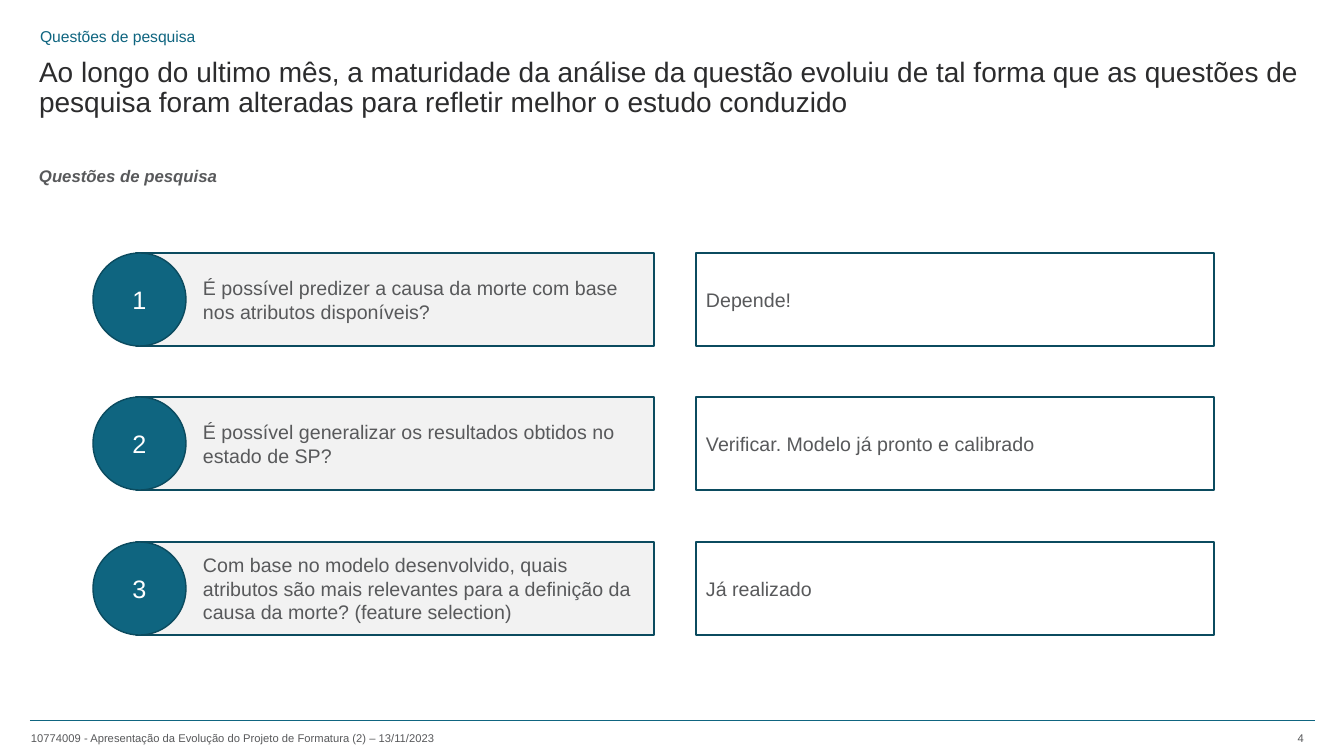
from dataclasses import dataclass
from pptx import Presentation
from pptx.dml.color import RGBColor as Color
from pptx.enum.shapes import MSO_CONNECTOR as Link, MSO_SHAPE as Form
from pptx.enum.text import MSO_ANCHOR as Anchor, MSO_AUTO_SIZE as Fit, PP_ALIGN as Align
from pptx.oxml.xmlchemy import OxmlElement as Node
from pptx.util import Emu, Pt

SCALE = 914400 / 100.8


def px(num):
    """Turn pixels into EMU."""
    return Emu(round(num * SCALE))


@dataclass(frozen=True)
class Theme:
    """Colours, font and type sizes."""
    font: str = "Arial"
    teal: str = "0F6580"
    edge: str = "0B4B5F"
    ink: str = "2C2C2D"
    gray: str = "58595B"
    pale: str = "F2F2F2"
    white: str = "FFFFFF"
    title: float = 20
    badge: float = 18
    text: float = 14
    head: float = 12
    topic: float = 11.2
    foot: float = 8


class Page:
    """Draws elements on one slide in one style."""

    def __init__(self, slide, theme):
        """Keep the slide and its theme."""
        self.slide, self.theme = slide, theme

    def style(self, shape, text, size, color, align=Align.LEFT,
              anchor=Anchor.MIDDLE, inset=10, bold=False, space=None):
        """Put formatted text in a shape and return its font."""
        frame = shape.text_frame
        frame.text = text
        frame.word_wrap = True
        frame.auto_size = Fit.NONE
        frame.vertical_anchor = anchor
        frame.margin_left, frame.margin_right = px(inset), px(10)
        frame.margin_top = frame.margin_bottom = px(5)
        para = frame.paragraphs[0]
        para.alignment, para.line_spacing = align, space
        para.space_before = Pt(0)
        font = para.runs[0].font
        font.name, font.size, font.bold = self.theme.font, Pt(size), bold
        font.color.rgb = Color.from_string(color)
        return font

    def holder(self, shape, box, text, size, color, space):
        """Move and fill a placeholder."""
        shape.left, shape.top, shape.width, shape.height = map(px, box)
        self.style(shape, text, size, color, anchor=Anchor.TOP, space=space)

    def label(self, box, text, size, **looks):
        """Add a gray text box and return its font."""
        shape = self.slide.shapes.add_textbox(*map(px, box))
        return self.style(shape, text, size, self.theme.gray, **looks)

    def block(self, form, box, fill, text, size, color, **looks):
        """Add an outlined shape with text."""
        shape = self.slide.shapes.add_shape(form, *map(px, box))
        shape.shadow.inherit = False
        shape.fill.solid()
        shape.fill.fore_color.rgb = Color.from_string(fill)
        shape.line.color.rgb = Color.from_string(self.theme.edge)
        shape.line.width = Pt(1)
        self.style(shape, text, size, color, **looks)

    def rule(self, left, right, top):
        """Add a thin level line."""
        ends = map(px, (left, top, right, top))
        line = self.slide.shapes.add_connector(Link.STRAIGHT, *ends)
        line.line.color.rgb = Color.from_string(self.theme.teal)
        line.line.width = Pt(0.5)
        line._element.spPr.append(Node("a:effectLst"))


ROWS = (
    ("É possível predizer a causa da morte com base nos atributos disponíveis?",
     "Depende!"),
    ("É possível generalizar os resultados obtidos no estado de SP?",
     "Verificar. Modelo já pronto e calibrado"),
    ("Com base no modelo desenvolvido, quais atributos são mais relevantes "
     "para a definição da causa da morte? (feature selection)",
     "Já realizado"),
)
TOP, PITCH, TALL, WIDE = 253, 144.5, 93, 518


def build():
    """Build the slide and save it."""
    deck = Presentation()
    deck.slide_width, deck.slide_height = px(1344), px(756)
    slide = deck.slides.add_slide(deck.slide_layouts[7])
    theme = Theme()
    page = Page(slide, theme)

    title, spare, topic = slide.placeholders
    spare._element.getparent().remove(spare._element)
    page.holder(title, (29, 53, 1285, 71),
                "Ao longo do ultimo mês, a maturidade da análise da questão "
                "evoluiu de tal forma que as questões de pesquisa foram "
                "alteradas para refletir melhor o estudo conduzido",
                theme.title, theme.ink, 0.9)
    page.holder(topic, (30, 27, 537, 25), "Questões de pesquisa",
                theme.topic, theme.teal, 0.7)
    head = page.label((29, 161, 300, 30), "Questões de pesquisa",
                      theme.head, bold=True)
    head.italic = True

    for row, (ask, reply) in enumerate(ROWS):
        top = int(TOP + row * PITCH)
        page.block(Form.RECTANGLE, (136, top, WIDE, TALL), theme.pale, ask,
                   theme.text, theme.gray, inset=67)
        page.block(Form.OVAL, (93, top, TALL, TALL), theme.teal, str(row + 1),
                   theme.badge, theme.white, align=Align.CENTER)
        page.block(Form.RECTANGLE, (696, top, WIDE, TALL), theme.white, reply,
                   theme.text, theme.gray)

    page.rule(30, 1315, 720)
    page.label((21, 726, 669, 24),
               "10774009 - Apresentação da Evolução do Projeto de Formatura "
               "(2) – 13/11/2023", theme.foot)
    page.label((1259, 720, 55, 36), "4", theme.foot, align=Align.RIGHT)
    deck.save("out.pptx")


build()
